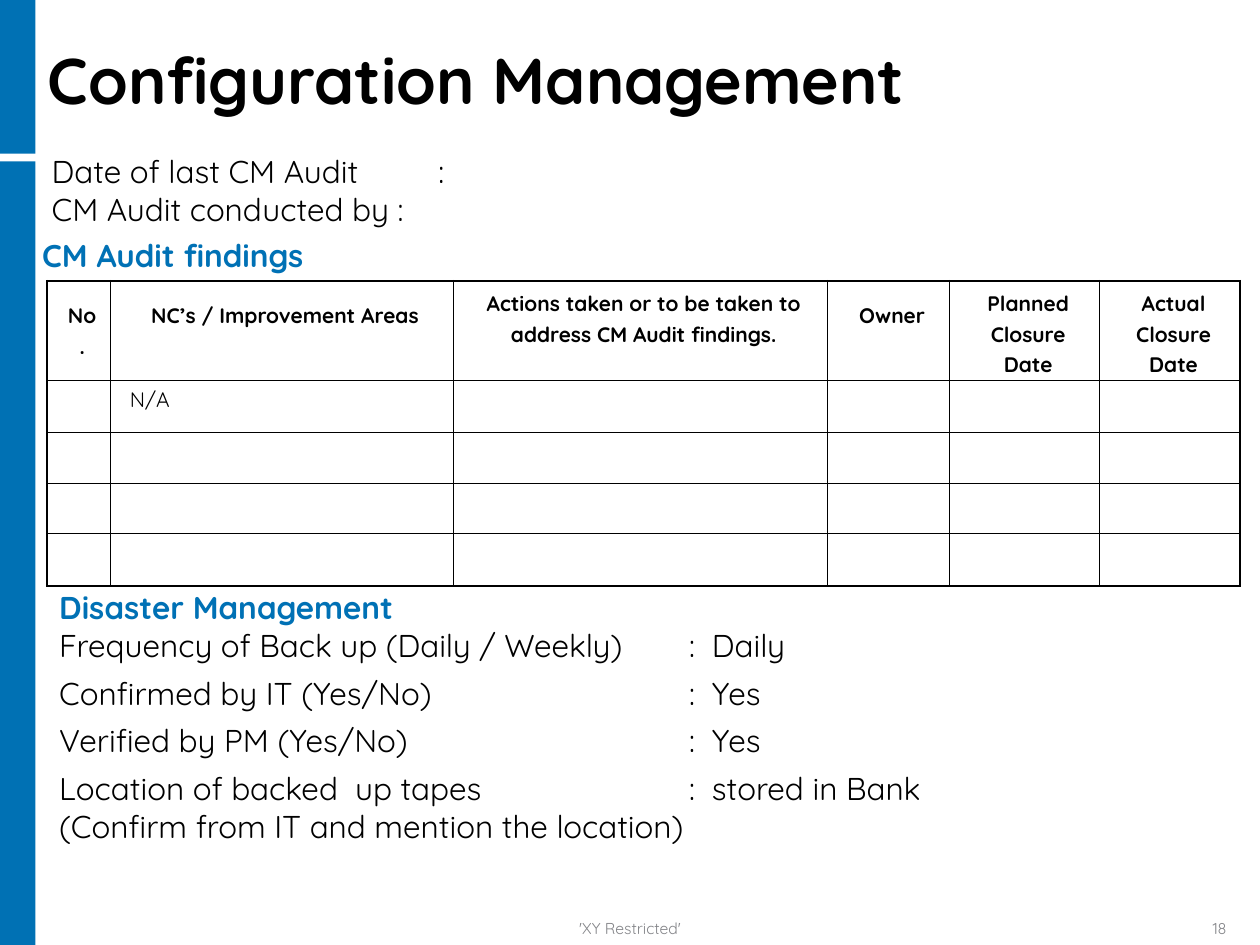
from lxml import etree
from pptx import Presentation
from pptx.dml.color import RGBColor
from pptx.enum import shapes, text
from pptx.oxml import ns
from pptx.util import Pt

HEX = {"bar": "0071B4", "head": "0071B5", "ink": "000000", "foot": "848589"}
FACE = "Quicksand"


def style(para, size, tone="ink", bold=False):
    for run in para.runs:
        run.font.name = FACE
        run.font.size = Pt(size)
        run.font.bold = bold
        run.font.color.rgb = RGBColor.from_string(HEX[tone])


def add_text(box, lines, size, tone="ink", bold=False, tabs=()):
    shape = slide.shapes.add_textbox(*map(Pt, box))
    frame = shape.text_frame
    frame.word_wrap = True
    frame.text = "\n".join(lines)
    for para in frame.paragraphs:
        style(para, size, tone, bold)
        if tabs:
            stops = etree.SubElement(para._p.get_or_add_pPr(), ns.qn("a:tabLst"))
            for pos in tabs:
                etree.SubElement(stops, ns.qn("a:tab"), pos=str(Pt(pos)), algn="l")
    return frame


deck = Presentation()
deck.slide_width, deck.slide_height = Pt(720), Pt(540)
slide = deck.slides.add_slide(deck.slide_layouts[5])

# Side bars
for top, high in ((92.2, 447.8), (0, 87.8)):
    bar = slide.shapes.add_shape(
        shapes.MSO_SHAPE.RECTANGLE, Pt(0), Pt(top), Pt(20.2), Pt(high))
    bar.shadow.inherit = False
    bar.fill.solid()
    bar.fill.fore_color.rgb = RGBColor.from_string(HEX["bar"])
    bar.line.fill.background()

# Title
title = slide.shapes.title
title.left, title.top, title.width, title.height = map(Pt, (27.4, 28, 605.5, 39.6))
frame = title.text_frame
frame.text = "Configuration Management"
frame.auto_size = text.MSO_AUTO_SIZE.NONE
frame.vertical_anchor = text.MSO_ANCHOR.TOP
frame.margin_left = frame.margin_right = frame.margin_top = frame.margin_bottom = 0
frame.paragraphs[0].alignment = text.PP_ALIGN.LEFT
frame.paragraphs[0].line_spacing = 0.9
style(frame.paragraphs[0], 37, bold=True)

# Audit details
add_text((22.5, 83.5, 244, 50.4),
         ["Date of last CM Audit\t:", "CM Audit conducted by :"], 18, tabs=[221])
add_text((17, 131.3, 174.2, 28.8), ["CM Audit findings"], 18, "head", True)

# Findings table
heads = ["No.", "NC’s / Improvement Areas",
         "Actions taken or to be taken to address CM Audit findings.",
         "Owner", "Planned Closure Date", "Actual Closure Date"]
wide = [36, 196, 214, 69.8, 85.7, 80.5]
tall = [57, 29.8, 28.8, 29, 29.8]
low = {0, 1, 3}  # headings set a little lower
table = slide.shapes.add_table(
    len(tall), len(wide), Pt(26.8), Pt(160.4), Pt(sum(wide)), Pt(sum(tall))).table
table.first_row = table.horz_banding = False
for col, size in zip(table.columns, wide):
    col.width = Pt(size)
for row, size in zip(table.rows, tall):
    row.height = Pt(size)

for r in range(len(tall)):
    for c in range(len(wide)):
        cell = table.cell(r, c)
        cell.fill.background()
        cell.margin_left = Pt(11.5)
        para = cell.text_frame.paragraphs[0]
        para.font.size = Pt(12)
        if r == 0:
            para.text = heads[c]
            para.alignment = text.PP_ALIGN.CENTER
            para.line_spacing = 1.15
            style(para, 12, bold=True)
            if c in low:
                cell.margin_top = Pt(10.5)
        # Thin inner borders, thicker outer frame
        edges = {"lnL": c == 0, "lnR": c == len(wide) - 1,
                 "lnT": r == 0, "lnB": r == len(tall) - 1}
        props = cell._tc.get_or_add_tcPr()
        for i, (side, outer) in enumerate(edges.items()):
            line = etree.Element(ns.qn("a:" + side), w=str(Pt(1.08 if outer else 0.45)))
            fill = etree.SubElement(line, ns.qn("a:solidFill"))
            etree.SubElement(fill, ns.qn("a:srgbClr"), val=HEX["ink"])
            props.insert(i, line)

note = table.cell(1, 1).text_frame.paragraphs[0]
note.text = "N/A"
style(note, 12)

# Disaster management: heading and list
frame = add_text(
    (26.8, 332.6, 583.2, 154),
    ["Disaster Management",
     "Frequency of Back up (Daily / Weekly)\t:\tDaily",
     "Confirmed by IT (Yes/No)\t:\tYes",
     "Verified by PM (Yes/No)\t:\tYes",
     "Location of backed  up tapes\t:\tstored in Bank",
     "(Confirm from IT and mention the location)"], 18, tabs=[360, 373])
style(frame.paragraphs[0], 18, "head", True)
for para in frame.paragraphs[1:4]:
    para.space_after = Pt(5.6)

# Footer and page number
for left, width, words, side in (
        (168, 384, "'XY Restricted'", text.PP_ALIGN.CENTER),
        (648, 60, "18", text.PP_ALIGN.RIGHT)):
    frame = add_text((left, 522, width, 17.3), [words], 9, "foot")
    frame.vertical_anchor = text.MSO_ANCHOR.BOTTOM
    frame.paragraphs[0].alignment = side

deck.save("out.pptx")
